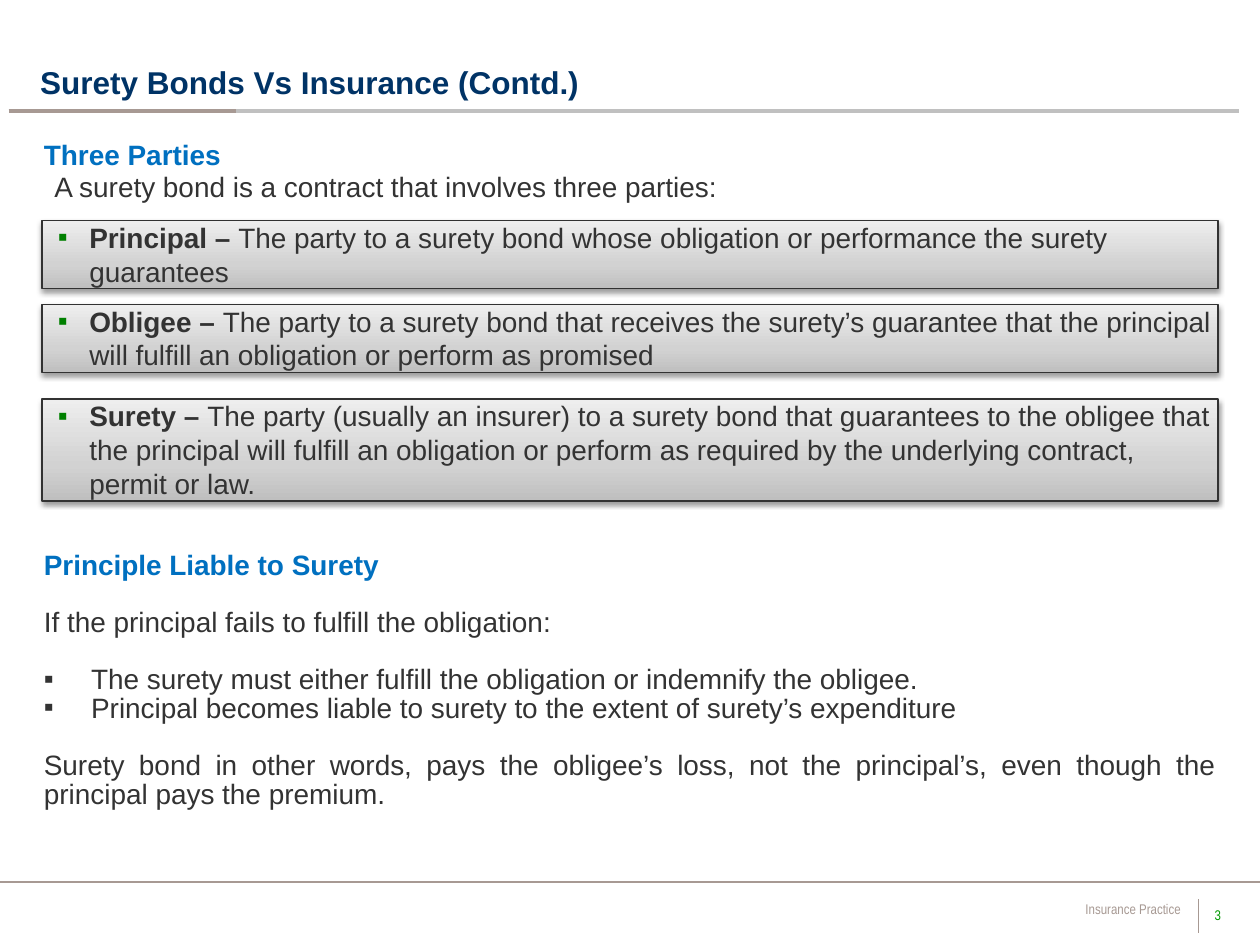
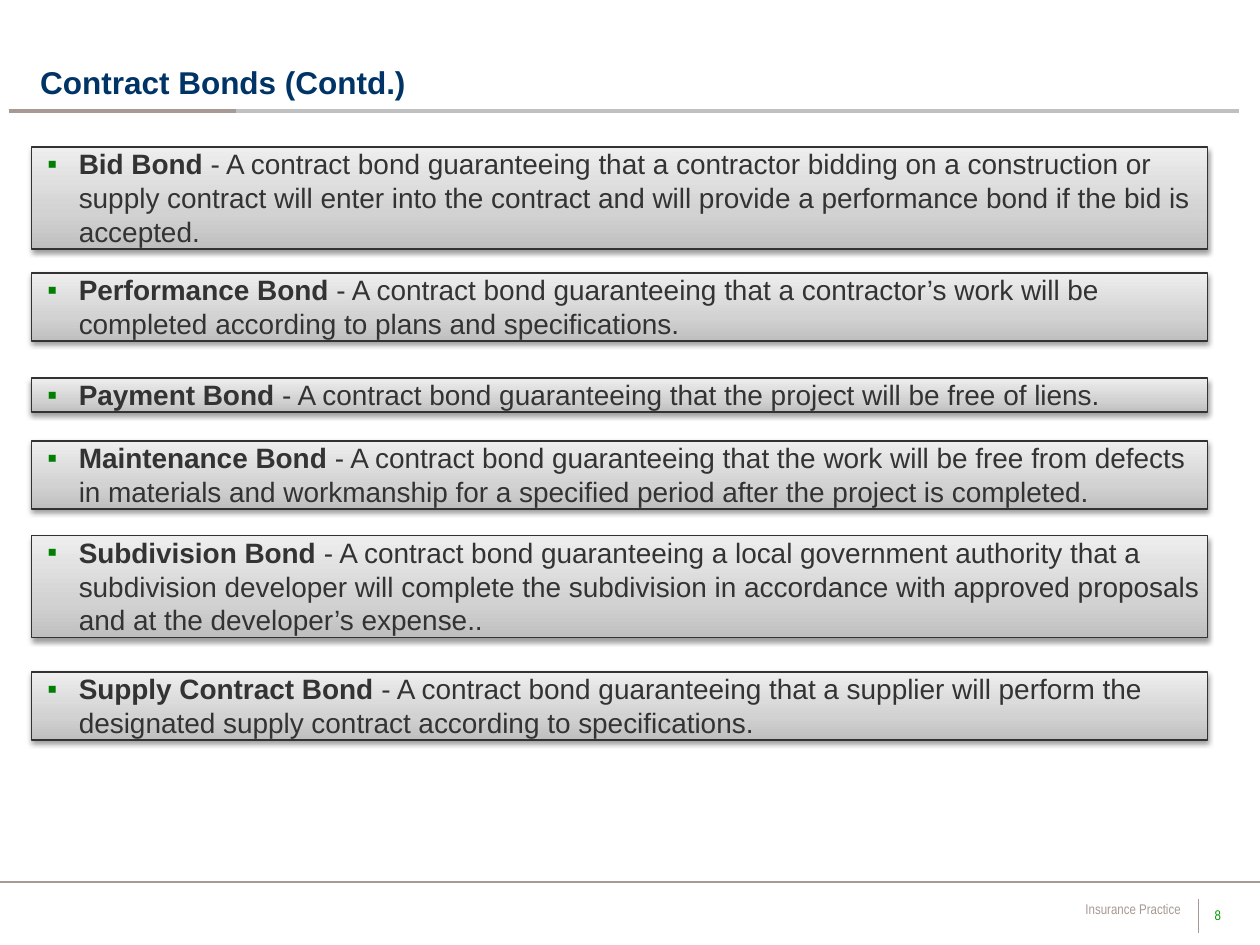
from copy import deepcopy
from dataclasses import dataclass

from lxml import etree
from pptx import Presentation
from pptx.dml.color import RGBColor
from pptx.enum import shapes, text
from pptx.oxml.ns import qn
from pptx import util as u

Pt = u.Pt
Left, Right = text.PP_ALIGN.LEFT, text.PP_ALIGN.RIGHT
Mid, Full = text.PP_ALIGN.CENTER, text.PP_ALIGN.JUSTIFY


@dataclass(frozen=True)
class Theme:
    navy: str = "003366"
    blue: str = "0070C0"
    ink: str = "333333"
    green: str = "009900"
    mark: str = "008000"
    taupe: str = "A79993"
    rule: str = "C0C0C0"
    edge: str = "323232"
    fade: tuple = ((0, "BFBFBF"), (0.35, "D2D2D2"), (1, "EEEEEE"))
    face: str = "Arial"
    slim: str = "Arial Narrow"
    head: int = 18
    body: int = 16
    foot: int = 8
    tight: float = 0.85
    row: float = 19.44  # height of one full line of body text
    gap: float = 16.3  # height of one tight line of body text


T = Theme()


@dataclass(frozen=True)
class Box:
    x: float
    y: float
    w: float
    h: float


@dataclass(frozen=True)
class Para:
    words: str
    color: str = T.ink
    size: int = T.body
    face: str = T.face
    bold: bool = False
    align: int = Left
    lead: float = T.tight
    before: float = 0
    bullet: bool = False


@dataclass(frozen=True)
class Card:
    top: float
    rows: int
    term: str
    words: str


@dataclass(frozen=True)
class Rule:
    x1: float
    y1: float
    x2: float
    y2: float
    color: str
    width: float


# What every slide carries
RULES = (
    Rule(5, 63.4, 708, 63.4, T.rule, 2),
    Rule(5, 63.4, 134.6, 63.4, T.taupe, 2),
    Rule(684.7, 514, 684.7, 533, T.taupe, 0.75),
    Rule(0, 504, 720, 504, T.taupe, 1),
)


def tint(color: str) -> RGBColor:
    return RGBColor.from_string(color)


def dot(para, left: float, hang: float, color: str) -> None:
    """Give a paragraph a hanging square bullet."""
    props = para._p.get_or_add_pPr()
    props.set("marL", str(Pt(left)))
    props.set("indent", str(-Pt(hang)))
    clr = etree.SubElement(props, qn("a:buClr"))
    etree.SubElement(clr, qn("a:srgbClr"), val=color)
    etree.SubElement(props, qn("a:buFont"), typeface=T.face)
    etree.SubElement(props, qn("a:buChar"), char="▪")


def style(font, face: str, size: int, color: str) -> None:
    font.name, font.size = face, Pt(size)
    font.color.rgb = tint(color)


def strip(frame) -> None:
    """Remove the inner margins of a text frame."""
    frame.margin_left = frame.margin_right = 0
    frame.margin_top = frame.margin_bottom = 0


def write(slide, box: Box, *paras: Para, anchor=text.MSO_ANCHOR.TOP):
    shape = slide.shapes.add_textbox(Pt(box.x), Pt(box.y), Pt(box.w), Pt(box.h))
    frame = shape.text_frame
    frame.word_wrap = True
    frame.vertical_anchor = anchor
    for i, item in enumerate(paras):
        para = frame.add_paragraph() if i else frame.paragraphs[0]
        para.add_run().text = item.words
        para.alignment = item.align
        para.line_spacing = item.lead
        para.space_before = Pt(item.before)
        if item.bullet:
            dot(para, 27, 27, item.color)
        style(para.font, item.face, item.size, item.color)
        para.font.bold = item.bold
    return frame


def draw(slide, rule: Rule) -> None:
    ends = map(Pt, (rule.x1, rule.y1, rule.x2, rule.y2))
    line = slide.shapes.add_connector(shapes.MSO_CONNECTOR.STRAIGHT, *ends)
    line.line.color.rgb = tint(rule.color)
    line.line.width = Pt(rule.width)
    etree.SubElement(line._element.spPr, qn("a:effectLst"))


def paint(shape) -> None:
    """Apply the grey fade, thin edge and soft drop shadow."""
    shape.fill.gradient()
    shape.fill.gradient_angle = 90
    props = shape._element.spPr
    stops = props.find(qn("a:gradFill")).find(qn("a:gsLst"))
    stops.append(deepcopy(stops[0]))
    for stop, (place, color) in zip(shape.fill.gradient_stops, T.fade):
        stop.position = place
        stop.color.rgb = tint(color)
    shape.line.color.rgb = tint(T.edge)
    shape.line.width = Pt(0.75)
    shape.shadow.inherit = False
    glow = etree.SubElement(
        props.find(qn("a:effectLst")), qn("a:outerShdw"),
        blurRad=str(Pt(3.1)), dist=str(Pt(1.6)), dir="5400000", rotWithShape="0")
    clr = etree.SubElement(glow, qn("a:srgbClr"), val="000000")
    etree.SubElement(clr, qn("a:alpha"), val="38000")


def stack(slide, left: float, cards: tuple[Card, ...]) -> None:
    for card in cards:
        shape = slide.shapes.add_shape(
            shapes.MSO_SHAPE.RECTANGLE,
            Pt(left), Pt(card.top), Pt(672), Pt(card.rows * T.row))
        paint(shape)
        frame = shape.text_frame
        strip(frame)
        frame.word_wrap = True
        frame.vertical_anchor = text.MSO_ANCHOR.TOP
        frame.auto_size = text.MSO_AUTO_SIZE.SHAPE_TO_FIT_TEXT
        para = frame.paragraphs[0]
        para.alignment = Left
        dot(para, 27, 18, T.mark)
        style(para.font, T.face, T.body, T.ink)
        term = para.add_run()
        term.text, term.font.bold = card.term + " ", True
        para.add_run().text = card.words


def start(deck, title: str, page: int):
    """Add a slide with its title, rules and footer."""
    slide = deck.slides.add_slide(deck.slide_layouts[6])
    for rule in RULES:
        draw(slide, rule)
    write(slide, Box(684.7, 512.6, 22.3, 21.6),
          Para(str(page), T.green, T.foot, T.slim, align=Mid),
          anchor=text.MSO_ANCHOR.MIDDLE)
    write(slide, Box(323.3, 512.6, 358.6, 15.8),
          Para("Insurance Practice", T.taupe, T.foot, T.slim, align=Right))
    strip(write(slide, Box(23, 13, 672, 44.6),
                Para(title, T.navy, T.head, bold=True, lead=1),
                anchor=text.MSO_ANCHOR.BOTTOM))
    return slide


PARTIES = (
    Card(126, 2, "Principal –",
         "The party to a surety bond whose obligation or performance the "
         "surety guarantees"),
    Card(174, 2, "Obligee –",
         "The party to a surety bond that receives the surety’s guarantee that "
         "the principal will fulfill an obligation or perform as promised"),
    Card(228, 3, "Surety –",
         "The party (usually an insurer) to a surety bond that guarantees to "
         "the obligee that the principal will fulfill an obligation or perform "
         "as required by the underlying contract, permit or law."),
)

BONDS = (
    Card(84, 3, "Bid Bond",
         "- A contract bond guaranteeing that a contractor bidding on a "
         "construction or supply contract will enter into the contract and "
         "will provide a performance bond if the bid is accepted."),
    Card(156, 2, "Performance Bond",
         "- A contract bond guaranteeing that a contractor’s work will be "
         "completed according to plans and specifications."),
    Card(216, 1, "Payment Bond",
         "- A contract bond guaranteeing that the project will be free of liens."),
    Card(252, 2, "Maintenance Bond",
         "- A contract bond guaranteeing that the work will be free from "
         "defects in materials and workmanship for a specified period after "
         "the project is completed."),
    Card(306, 3, "Subdivision Bond",
         "- A contract bond guaranteeing a local government authority that a "
         "subdivision developer will complete the subdivision in accordance "
         "with approved proposals and at the developer’s expense.."),
    Card(384, 2, "Supply Contract Bond",
         "- A contract bond guaranteeing that a supplier will perform the "
         "designated supply contract according to specifications."),
)

LIABLE = (
    Para("Principle Liable to Surety", T.blue, bold=True, align=Full),
    Para("If the principal fails to fulfill the obligation:",
         align=Full, before=T.gap),
    Para("The surety must either fulfill the obligation or indemnify the "
         "obligee.", align=Full, before=T.gap, bullet=True),
    Para("Principal becomes liable to surety to the extent of surety’s "
         "expenditure", align=Full, bullet=True),
    Para("Surety bond in other words, pays the obligee’s loss, not the "
         "principal’s, even though the principal pays the premium.",
         align=Full, before=T.gap),
)


def main() -> None:
    deck = Presentation()
    deck.slide_width, deck.slide_height = Pt(720), Pt(540)

    # Slide: the three parties
    slide = start(deck, "Surety Bonds Vs Insurance (Contd.)", 3)
    write(slide, Box(18, 78, 672, 24),
          Para("Three Parties", T.blue, bold=True))
    write(slide, Box(24, 96, 666, 24),
          Para("A surety bond is a contract that involves three parties:"))
    stack(slide, 24, PARTIES)
    write(slide, Box(18, 312.5, 684, 155.5), *LIABLE)

    # Slide: kinds of contract bond
    slide = start(deck, "Contract Bonds (Contd.)", 8)
    stack(slide, 18, BONDS)

    deck.save("out.pptx")


if __name__ == "__main__":
    main()
